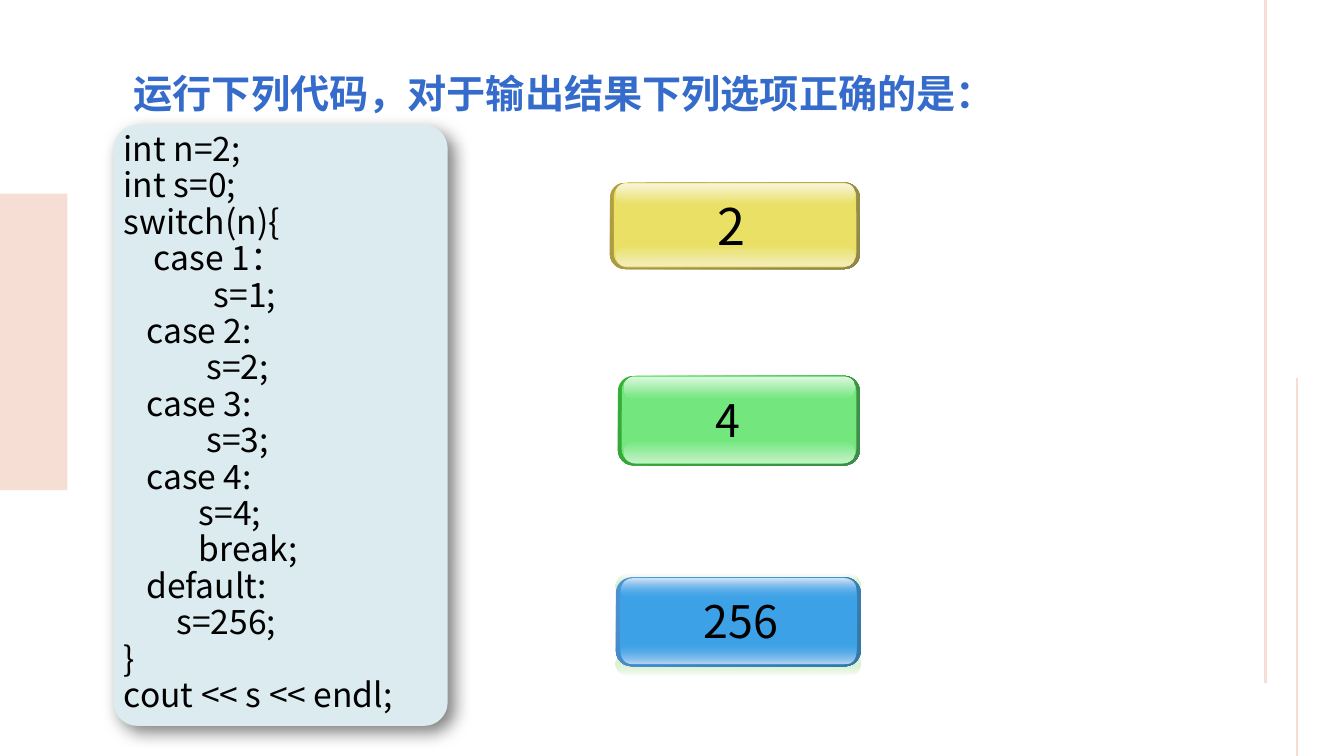
"""Build a quiz slide about a C++ switch statement."""
from dataclasses import dataclass

from lxml.etree import SubElement
from pptx import Presentation
from pptx.dml.color import RGBColor
from pptx.enum.shapes import MSO_CONNECTOR, MSO_SHAPE
from pptx.enum.text import MSO_ANCHOR, PP_ALIGN
from pptx.oxml.ns import qn
from pptx.util import Cm, Pt


@dataclass(frozen=True)
class Theme:
    """Colours, type sizes and font of the slide."""
    font: str = "Noto Sans CJK SC"
    accent: str = "F6DED4"
    panel: str = "DCEBEF"
    title: str = "356BCA"
    ink: str = "000000"
    title_size: int = 28
    code_size: int = 24
    code_leading: int = 26
    answer_size: int = 32
    big_answer_size: int = 36


@dataclass(frozen=True)
class Button:
    """One glossy answer button: place in cm, colours and label."""
    label: str
    box: tuple
    rim: tuple
    face: str
    shine: tuple
    size: int
    shift: float
    clear: bool = False


THEME = Theme()
TITLE = "运行下列代码，对于输出结果下列选项正确的是："
CODE = """int n=2;
int s=0;
switch(n){
    case 1：
            s=1;
   case 2:
           s=2;
   case 3:
           s=3;
   case 4:
          s=4;
          break;
   default:
       s=256;
}
cout << s << endl;"""
BUTTONS = (
    Button("2", (15.37, 4.6, 6.3, 2.18), ("B59F43", "8F8849"), "E9E065",
           ("F8F5DB", "F3EEBB"), THEME.big_answer_size, -0.09),
    Button("4", (15.57, 9.47, 6.1, 2.26), ("34B034", "3F8B4A"), "73E77E",
           ("DDF7DF", "C3F2C7"), THEME.answer_size, -0.29),
    Button("256", (15.52, 14.55, 6.17, 2.24), ("4E91D4", "3477A4"), "3CA1E6",
           ("D7E5F7", "BDD6F3"), THEME.answer_size, 0.06, True),
)


def rgb(colour):
    """Turn a hex string into a colour."""
    return RGBColor.from_string(colour)


def add_box(shapes, box, fill, radius=None):
    """Add a plain or rounded rectangle without line or shadow."""
    kind = MSO_SHAPE.RECTANGLE if radius is None else MSO_SHAPE.ROUNDED_RECTANGLE
    s = shapes.add_shape(kind, *map(Cm, box))
    if radius is not None:
        s.adjustments[0] = radius
    s.shadow.inherit = False
    s.line.fill.background()
    s.fill.solid()
    s.fill.fore_color.rgb = rgb(fill)
    return s


def set_gradient(s, colours, angle, clear=None):
    """Fill a shape with two colours, the one named by clear being transparent."""
    s.fill.gradient()
    s.fill.gradient_angle = 360 - angle
    for stop, colour in zip(s.fill.gradient_stops, colours):
        stop.color.rgb = rgb(colour)
    for node in s._element.spPr.iter(qn("a:srgbClr")):
        if node.get("val") == clear:
            SubElement(node, qn("a:alpha"), val="0")


def add_drop_shadow(s, blur, distance, angle, alpha):
    """Give a shape a soft outer shadow."""
    effects = s._element.spPr.find(qn("a:effectLst"))
    shadow = SubElement(effects, qn("a:outerShdw"), blurRad=str(Pt(blur)),
                        dist=str(Pt(distance)), dir=str(angle * 60000),
                        algn="tl", rotWithShape="0")
    colour = SubElement(shadow, qn("a:srgbClr"), val=THEME.ink)
    SubElement(colour, qn("a:alpha"), val=str(alpha * 1000))


def write(s, text, *, size, colour=THEME.ink, bold=False, leading=None,
          align=PP_ALIGN.LEFT, anchor=MSO_ANCHOR.TOP):
    """Write text into a shape, one paragraph a line."""
    tf = s.text_frame
    tf.word_wrap = True
    tf.vertical_anchor = anchor
    for i, line in enumerate(text.split("\n")):
        p = tf.add_paragraph() if i else tf.paragraphs[0]
        p.alignment = align
        if leading:
            p.line_spacing = Pt(leading)
        r = p.add_run()
        r.text = line
        r.font.size = Pt(size)
        r.font.bold = bold
        r.font.name = THEME.font
        r.font.color.rgb = rgb(colour)
        SubElement(r._r.get_or_add_rPr(), qn("a:ea"), typeface=THEME.font)


def add_rule(shapes, x, top, bottom, width):
    """Add a vertical accent line."""
    s = shapes.add_connector(MSO_CONNECTOR.STRAIGHT, Cm(x), Cm(bottom), Cm(x), Cm(top))
    s.line.color.rgb = rgb(THEME.accent)
    s.line.width = Pt(width)
    SubElement(s._element.spPr, qn("a:effectLst"))


def add_band(shapes, box, colours, clear=None):
    """Add a pill with a vertical gradient."""
    set_gradient(add_box(shapes, box, colours[0], 0.5), colours, 90, clear)


def add_glow(shapes, x, y, width):
    """Add the pale bands behind a button's top and bottom edges."""
    leaf, white = "6ECC4C", "FFFFFF"
    add_band(shapes, (x, y + 1.86, width, 0.61), (leaf, white), leaf)
    add_band(shapes, (x, y - 0.1, width, 0.61), (white, leaf), leaf)


def add_button(slide, button):
    """Add a grouped glossy button with rim, face and two shines."""
    shapes = slide.shapes.add_group_shape().shapes
    x, y, w, h = button.box
    clear = button.face if button.clear else None
    if button.clear:
        add_glow(shapes, x, y, w)
    set_gradient(add_box(shapes, button.box, button.rim[0], 0.175), button.rim, 45)
    face_h = h - 0.04
    face = add_box(shapes, (x + 0.1, y, w - 0.19, face_h), button.face, 0.167)
    tf = face.text_frame
    tf.margin_left = Cm(0.3 + button.shift)
    tf.margin_right = Cm(0.3 - button.shift)
    write(face, button.label, size=button.size, align=PP_ALIGN.CENTER,
          anchor=MSO_ANCHOR.MIDDLE)
    shine_h = face_h / 4
    top, bottom = button.shine
    left, width = x + 0.15, w - 0.27
    add_band(shapes, (left, y + face_h - shine_h - 0.03, width, shine_h),
             (button.face, bottom), clear)
    add_band(shapes, (left, y + 0.02, width, shine_h), (top, button.face), clear)


def add_code(shapes):
    """Add the code listing on its rounded panel."""
    panel = add_box(shapes, (2.87, 3.15, 8.41, 15.14), THEME.panel, 0.07)
    add_drop_shadow(panel, 12, 6, 45, 50)
    s = shapes.add_textbox(Cm(2.87), Cm(3.2), Cm(8.41), Cm(15.06))
    write(s, CODE, size=THEME.code_size, leading=THEME.code_leading)


def main():
    """Build and save the slide."""
    prs = Presentation()
    prs.slide_width, prs.slide_height = Cm(33.87), Cm(19.05)
    slide = prs.slides.add_slide(prs.slide_layouts[6])
    shapes = slide.shapes
    add_box(shapes, (0, 4.88, 1.7, 7.47), THEME.accent)
    add_rule(shapes, 31.9, 0, 17.2, 2.25)
    add_rule(shapes, 32.69, 9.53, 19.05, 1.5)
    add_code(shapes)
    title = shapes.add_textbox(Cm(3.12), Cm(1.63), Cm(23.01), Cm(1.45))
    write(title, TITLE, size=THEME.title_size, colour=THEME.title, bold=True)
    for button in BUTTONS:
        add_button(slide, button)
    prs.save("out.pptx")


if __name__ == "__main__":
    main()
